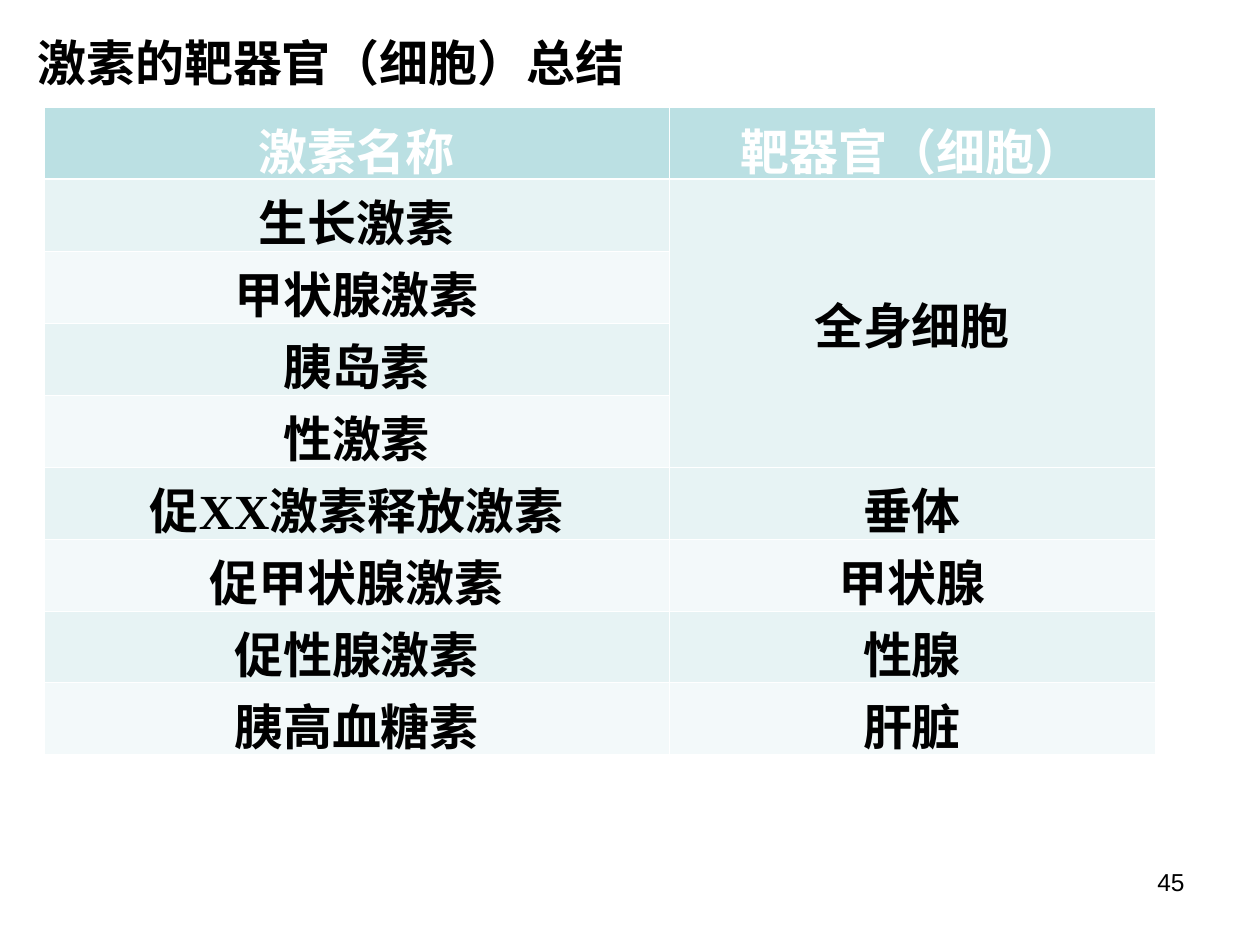
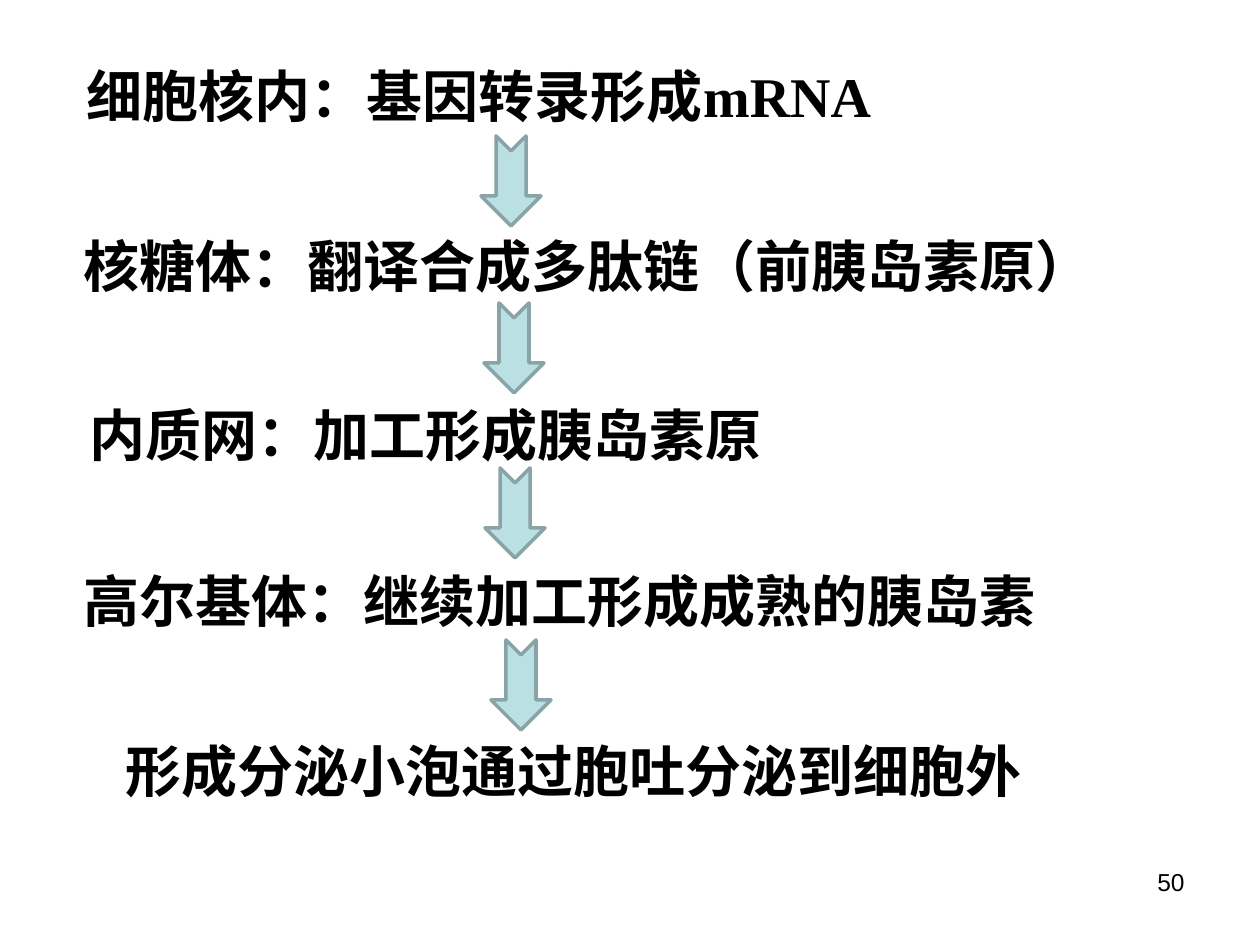
"""Build two slides on hormones: a target-organ table and the steps of insulin synthesis."""
from lxml import etree
from pptx import Presentation
from pptx import util as u
from pptx.dml.color import RGBColor
from pptx.enum import shapes, text
from pptx.oxml.ns import qn

COLORS = {"ink": "000000", "white": "FFFFFF", "teal": "BBE0E3", "edge": "89A4A7",
          "band_dark": "E7F3F4", "band_light": "F3F9FA"}
SANS, SERIF = "Arial", "Times New Roman"

TITLE = "激素的靶器官（细胞）总结"
HEADER = ("激素名称", "靶器官（细胞）")
TARGETS = [
    ("全身细胞", ["生长激素", "甲状腺激素", "胰岛素", "性激素"]),
    ("垂体", ["促XX激素释放激素"]),
    ("甲状腺", ["促甲状腺激素"]),
    ("性腺", ["促性腺激素"]),
    ("肝脏", ["胰高血糖素"]),
]
TABLE_AT, COL_WIDTHS, ROW_HEIGHT = (44, 107), (625, 486), 72

STEPS = [
    ("细胞核内：基因转录形成mRNA", 74, 55),
    ("核糖体：翻译合成多肽链（前胰岛素原）", 71, 225),
    ("内质网：加工形成胰岛素原", 77, 394),
    ("高尔基体：继续加工形成成熟的胰岛素", 71, 560),
    ("形成分泌小泡通过胞吐分泌到细胞外", 113, 730),
]
STEP_WIDTH, STEP_HEIGHT = 1084, 81
ARROW_CENTERS = [(511, 181), (514, 348), (515, 513), (521, 685)]
ARROW_LENGTH, ARROW_BREADTH = 90, 60


def px(n):
    return u.Emu(round(n * 914400 / 126))


def rgb(name):
    return RGBColor.from_string(COLORS[name])


def write(tf, words, size, font, color="ink", bold=True, align=text.PP_ALIGN.LEFT):
    p = tf.paragraphs[0]
    p.text, p.alignment = words, align
    f = p.font
    f.size, f.name, f.bold = u.Pt(size), font, bold
    f.color.rgb = rgb(color)


def add_text(s, box, words, size, font, **style):
    tf = s.shapes.add_textbox(*map(px, box)).text_frame
    tf.word_wrap = True
    write(tf, words, size, font, **style)


def add_slide(prs, number):
    s = prs.slides.add_slide(prs.slide_layouts[6])
    add_text(s, (903, 861, 294, 66), str(number), 14, SANS,
             bold=False, align=text.PP_ALIGN.RIGHT)
    return s


def style_cell(cell, fill, top, bottom):
    tc_pr = cell._tc.get_or_add_tcPr()
    for side, width in (("L", 0.45), ("R", 0.45), ("T", top), ("B", bottom)):
        ln = etree.SubElement(tc_pr, qn(f"a:ln{side}"), w=str(u.Pt(width)))
        solid = etree.SubElement(ln, qn("a:solidFill"))
        etree.SubElement(solid, qn("a:srgbClr"), val=COLORS["white"])
    cell.fill.solid()
    cell.fill.fore_color.rgb = rgb(fill)
    cell.vertical_anchor = text.MSO_ANCHOR.MIDDLE


def add_target_table(s):
    rows = [HEADER]
    for organ, hormones in TARGETS:
        rows += [(h, "" if i else organ) for i, h in enumerate(hormones)]
    size = sum(COL_WIDTHS), ROW_HEIGHT * len(rows)
    table = s.shapes.add_table(len(rows), 2, *map(px, TABLE_AT + size)).table
    for column, width in zip(table.columns, COL_WIDTHS):
        column.width = px(width)
    for i, row in enumerate(rows):
        table.rows[i].height = px(ROW_HEIGHT)
        fill = "teal" if i == 0 else "band_dark" if i % 2 else "band_light"
        for j, words in enumerate(row):
            cell = table.cell(i, j)
            style_cell(cell, fill, 1.47 if i == 1 else 0.45, 1.47 if i == 0 else 0.45)
            write(cell.text_frame, words, 28, SERIF, color="ink" if i else "white",
                  align=text.PP_ALIGN.CENTER)
    top = 1
    for _, hormones in TARGETS:
        bottom = top + len(hormones) - 1
        if bottom > top:
            table.cell(top, 1).merge(table.cell(bottom, 1))
        top = bottom + 1


def add_down_arrow(s, cx, cy):
    box = cx - ARROW_LENGTH / 2, cy - ARROW_BREADTH / 2, ARROW_LENGTH, ARROW_BREADTH
    sp = s.shapes.add_shape(shapes.MSO_SHAPE.NOTCHED_RIGHT_ARROW, *map(px, box))
    sp.rotation = 90
    sp.shadow.inherit = False
    sp.fill.solid()
    sp.fill.fore_color.rgb = rgb("teal")
    sp.line.color.rgb = rgb("edge")
    sp.line.width = u.Pt(2)


def main():
    prs = Presentation()
    prs.slide_width, prs.slide_height = px(1260), px(945)

    s = add_slide(prs, 45)
    add_text(s, (25, 26, 794, 72), TITLE, 28, SANS)
    add_target_table(s)

    s = add_slide(prs, 50)
    for words, left, top in STEPS:
        add_text(s, (left, top, STEP_WIDTH, STEP_HEIGHT), words, 32, SERIF)
    for center in ARROW_CENTERS:
        add_down_arrow(s, *center)

    prs.save("out.pptx")


if __name__ == "__main__":
    main()
